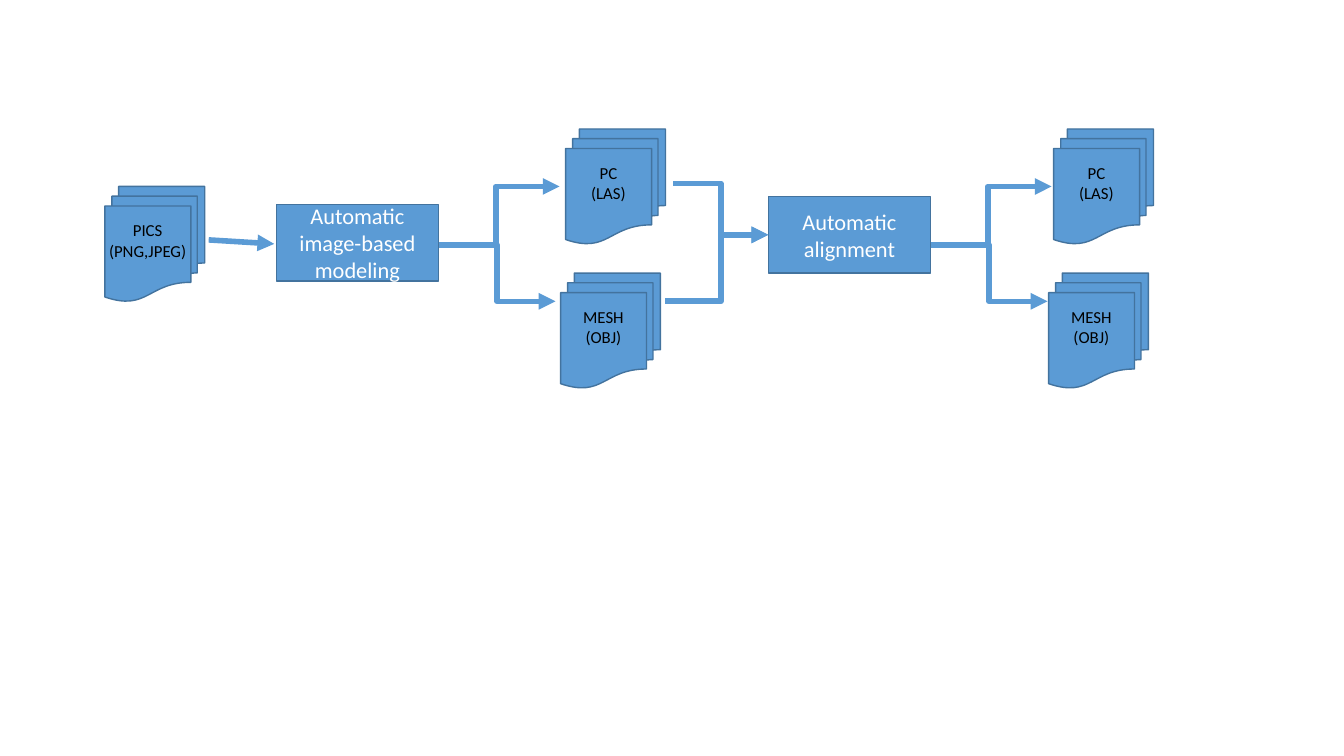
from dataclasses import dataclass

from lxml.etree import SubElement
from pptx import Presentation
from pptx.dml.color import RGBColor
from pptx.enum.shapes import MSO_CONNECTOR, MSO_SHAPE
from pptx.enum.text import MSO_ANCHOR, MSO_AUTO_SIZE, PP_ALIGN
from pptx.oxml.ns import qn
from pptx.util import Inches, Pt


@dataclass(frozen=True)
class Theme:
    font: str = "Calibri"
    blue: RGBColor = RGBColor(0x5B, 0x9B, 0xD5)
    outline: RGBColor = RGBColor(0x43, 0x73, 0x9E)
    black: RGBColor = RGBColor(0, 0, 0)
    white: RGBColor = RGBColor(255, 255, 255)
    label_size: Pt = Pt(12)
    process_size: Pt = Pt(16)
    outline_width: Pt = Pt(1)
    arrow_width: Pt = Pt(4)


THEME = Theme()


def write_lines(text_frame, lines, size, color):
    text_frame.word_wrap = True
    for index, line in enumerate(lines):
        paragraph = text_frame.add_paragraph() if index else text_frame.paragraphs[0]
        paragraph.alignment = PP_ALIGN.CENTER
        run = paragraph.add_run()
        run.text = line
        run.font.name = THEME.font
        run.font.size = size
        run.font.color.rgb = color


def add_block(slide, kind, left, top, width, height):
    shape = slide.shapes.add_shape(
        kind, Inches(left), Inches(top), Inches(width), Inches(height))
    shape.shadow.inherit = False
    shape.fill.solid()
    shape.fill.fore_color.rgb = THEME.blue
    shape.line.color.rgb = THEME.outline
    shape.line.width = THEME.outline_width
    return shape


def add_documents(slide, left, top, name, file_format):
    add_block(slide, MSO_SHAPE.FLOWCHART_MULTIDOCUMENT, left, top, 0.99, 1.14)
    label = slide.shapes.add_textbox(
        Inches(left - 0.19), Inches(top + 0.285), Inches(1.23), Inches(0.5))
    write_lines(label.text_frame, [name, file_format], THEME.label_size, THEME.black)
    label.text_frame.auto_size = MSO_AUTO_SIZE.SHAPE_TO_FIT_TEXT


def add_process(slide, left, top, text):
    shape = add_block(slide, MSO_SHAPE.FLOWCHART_PROCESS, left, top, 1.61, 0.76)
    shape.text_frame.vertical_anchor = MSO_ANCHOR.MIDDLE
    write_lines(shape.text_frame, [text], THEME.process_size, THEME.white)


def add_arrow(slide, start, end, bend=None):
    kind = MSO_CONNECTOR.STRAIGHT if bend is None else MSO_CONNECTOR.ELBOW
    connector = slide.shapes.add_connector(
        kind, *(Inches(value) for value in (*start, *end)))
    connector.line.color.rgb = THEME.blue
    connector.line.width = THEME.arrow_width
    properties = connector._element.spPr
    SubElement(properties.find(qn("a:ln")), qn("a:tailEnd"), type="triangle")
    SubElement(properties, qn("a:effectLst"))
    if bend is not None:
        adjustments = properties.find(qn("a:prstGeom")).get_or_add_avLst()
        SubElement(adjustments, qn("a:gd"), name="adj1",
                   fmla=f"val {round(bend * 100000)}")


def add_outputs(slide, process_right, documents_left):
    add_documents(slide, documents_left, 1.28, "PC", "(LAS)")
    add_documents(slide, documents_left - 0.05, 2.71, "MESH", "(OBJ)")
    add_arrow(slide, (process_right + 0.09, 2.43), (process_right + 1.2, 1.85), 0.43)
    add_arrow(slide, (process_right, 2.43), (process_right + 1.16, 2.99), 0.5)


def main():
    presentation = Presentation()
    presentation.slide_width = Inches(13.33)
    presentation.slide_height = Inches(7.5)
    slide = presentation.slides.add_slide(presentation.slide_layouts[6])

    add_documents(slide, 1.04, 1.85, "PICS", "(PNG,JPEG)")
    add_arrow(slide, (2.07, 2.38), (2.72, 2.42))
    add_process(slide, 2.74, 2.03, "Automatic image-based modeling")
    add_outputs(slide, 4.35, 5.61)
    add_process(slide, 7.62, 1.95, "Automatic alignment")
    add_arrow(slide, (6.68, 1.82), (7.62, 2.33), 0.5)
    add_arrow(slide, (6.6, 2.99), (7.62, 2.33), 0.54)
    add_outputs(slide, 9.23, 10.45)

    presentation.save("out.pptx")


if __name__ == "__main__":
    main()
